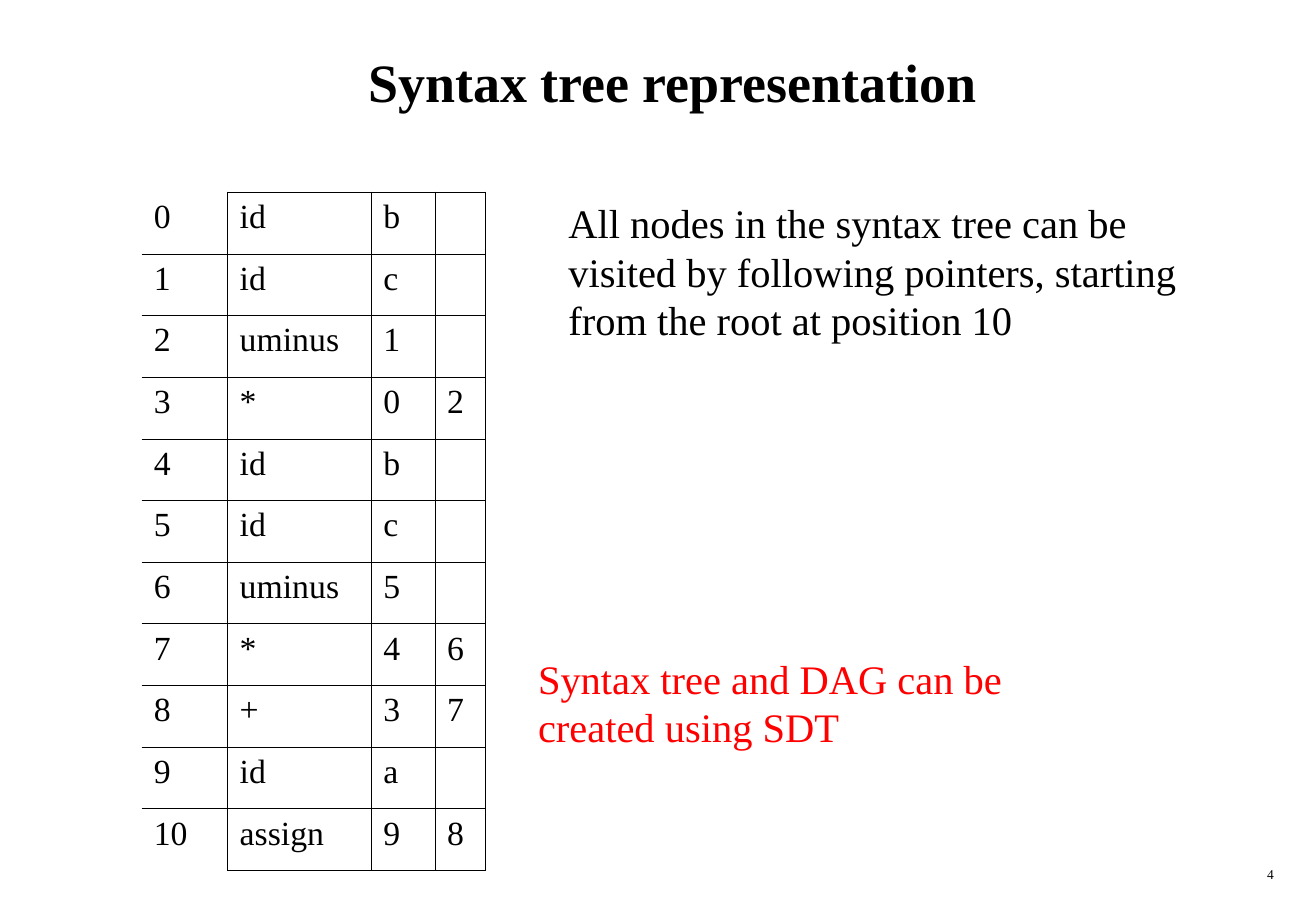
from lxml import etree
from pptx import Presentation
from pptx import util as u
from pptx.dml.color import RGBColor
from pptx.enum import text
from pptx.oxml import ns

COLORS = {"ink": "000000", "accent": "FF0000", "paper": "FFFFFF"}
FONT = "Times New Roman"
GRID = u.Inches(1) // 12  # twelve grid steps to the inch
THIN, THICK = 0.45, 1.08  # border widths in points

# Position, operator, first operand, second operand
NODES = [
    ("0", "id", "b", ""),
    ("1", "id", "c", ""),
    ("2", "uminus", "1", ""),
    ("3", "*", "0", "2"),
    ("4", "id", "b", ""),
    ("5", "id", "c", ""),
    ("6", "uminus", "5", ""),
    ("7", "*", "4", "6"),
    ("8", "+", "3", "7"),
    ("9", "id", "a", ""),
    ("10", "assign", "9", "8"),
]
COLUMN_STEPS = (8.5, 14.2, 6.3, 5)
TABLE_ROWS = 67  # height of the table in grid steps


def steps(*counts):
    return [round(count * GRID) for count in counts]


def write(frame, words, size, color="ink", bold=False, align=text.PP_ALIGN.LEFT):
    para = frame.paragraphs[0]
    para.alignment = align
    span = para.add_run()
    span.text = words
    for name, value in {"name": FONT, "size": u.Pt(size), "bold": bold}.items():
        setattr(span.font, name, value)
    span.font.color.rgb = RGBColor.from_string(COLORS[color])


def add_title(page, words, area):
    title = page.shapes.title
    for name, value in zip(("left", "top", "width", "height"), steps(*area)):
        setattr(title, name, value)
    title.text_frame.vertical_anchor = text.MSO_ANCHOR.MIDDLE
    write(title.text_frame, words, 32, bold=True, align=text.PP_ALIGN.CENTER)


def add_note(page, words, area, size=24, **style):
    box = page.shapes.add_textbox(*steps(*area))
    box.text_frame.word_wrap = True
    write(box.text_frame, words, size, **style)


def set_borders(cell, widths):
    """Draw the left, right, top and bottom borders; None leaves a side open."""
    properties = cell._tc.get_or_add_tcPr()
    for side, width in zip("LRTB", widths):
        line = etree.SubElement(properties, ns.qn(f"a:ln{side}"))
        if width is None:
            line.set("w", "0")
            etree.SubElement(line, ns.qn("a:noFill"))
        else:
            line.set("w", str(u.Pt(width)))
            fill = etree.SubElement(line, ns.qn("a:solidFill"))
            etree.SubElement(fill, ns.qn("a:srgbClr"), val=COLORS["ink"])


def border_widths(row, column):
    """Frame the node records thickly and leave the position column open outside."""
    outer = THICK if column else None
    return (
        THIN if column else None,
        THICK if column == len(COLUMN_STEPS) - 1 else THIN,
        outer if row == 0 else THIN,
        outer if row == len(NODES) - 1 else THIN,
    )


def add_node_table(page, left, top):
    area = steps(left, top, sum(COLUMN_STEPS), TABLE_ROWS)
    table = page.shapes.add_table(len(NODES), len(COLUMN_STEPS), *area).table
    table.first_row = table.horz_banding = False
    for column, width in zip(table.columns, steps(*COLUMN_STEPS)):
        column.width = width
    for row, node in enumerate(NODES):
        for column, words in enumerate(node):
            cell = table.cell(row, column)
            set_borders(cell, border_widths(row, column))
            cell.fill.background()
            if words:
                write(cell.text_frame, words, 20)


def main():
    deck = Presentation()
    deck.slide_width, deck.slide_height = u.Inches(10.84), u.Inches(7.5)
    page = deck.slides.add_slide(deck.slide_layouts[5])
    page.background.fill.solid()
    page.background.fill.fore_color.rgb = RGBColor.from_string(COLORS["paper"])

    # Title and table of nodes
    add_title(page, "Syntax tree representation", (5, 2, 123, 12))
    add_node_table(page, 14, 19)

    # Remarks beside the table
    add_note(page, "Syntax tree and DAG can be created using SDT",
             (52, 64, 51, 10.8), color="accent")
    add_note(page, "All nodes in the syntax tree can be visited by following "
             "pointers, starting from the root at position 10", (55, 19, 69, 15.6))

    # Page number
    add_note(page, "4", (100, 85, 27.1, 3), size=8, align=text.PP_ALIGN.RIGHT)
    deck.save("out.pptx")


if __name__ == "__main__":
    main()
